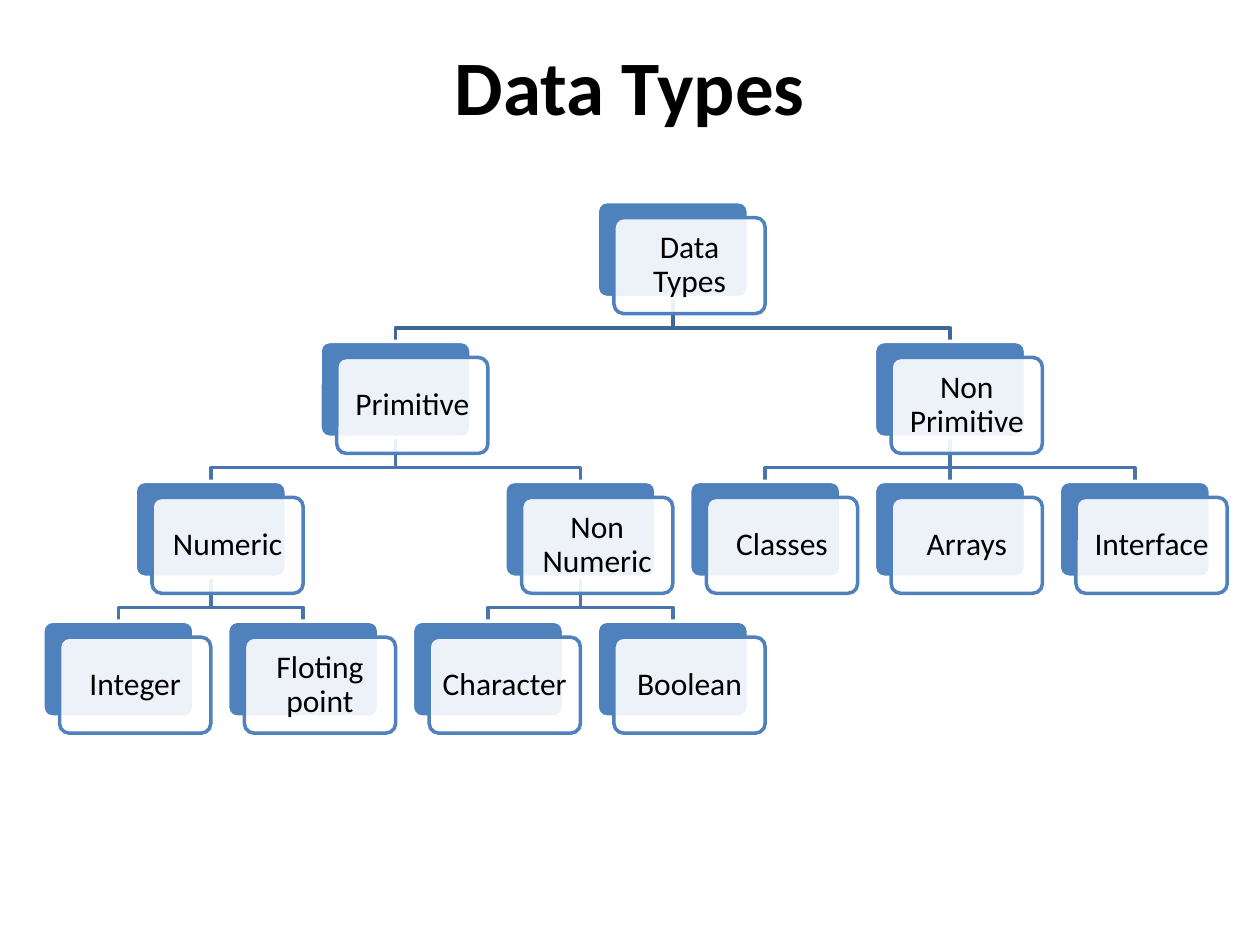
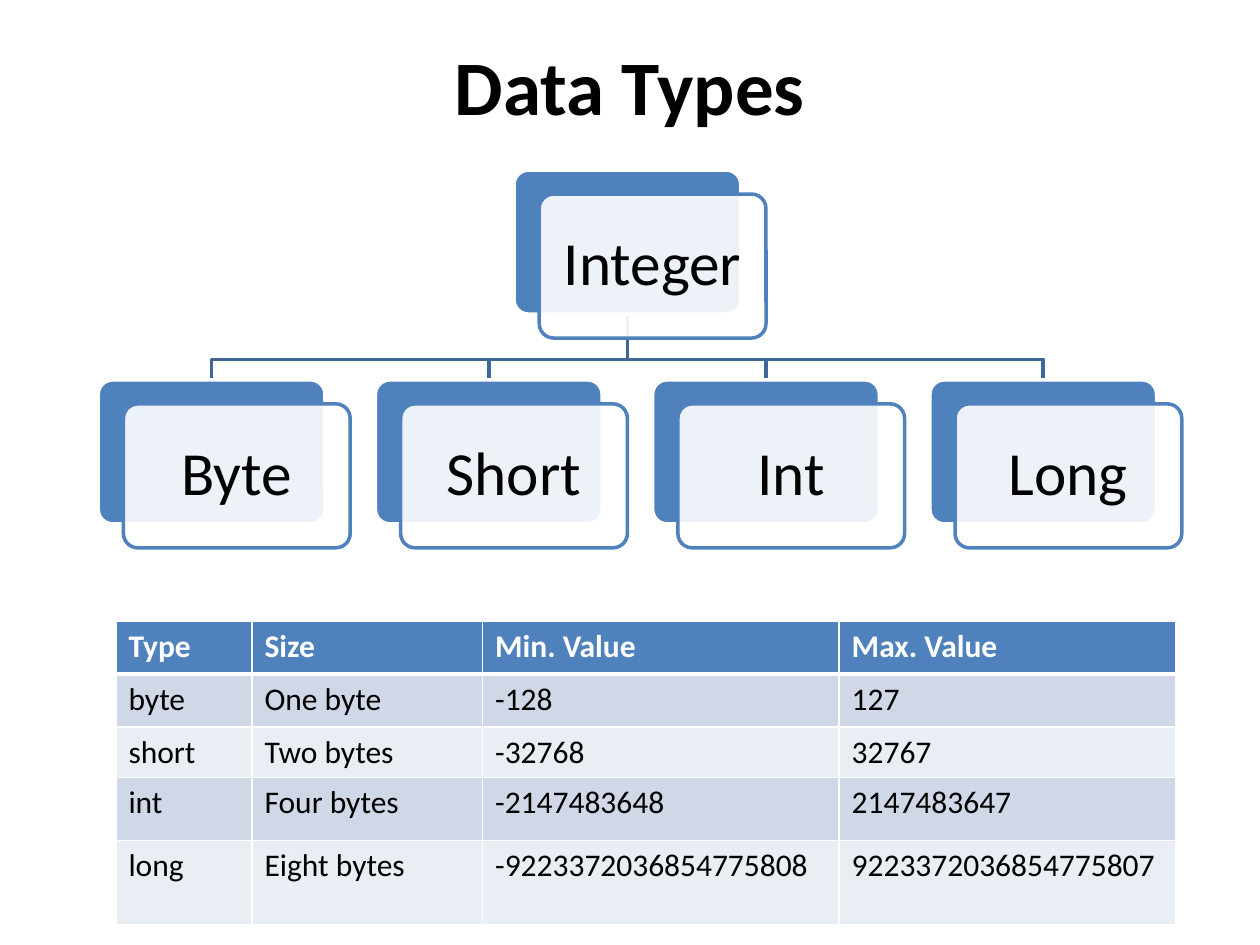
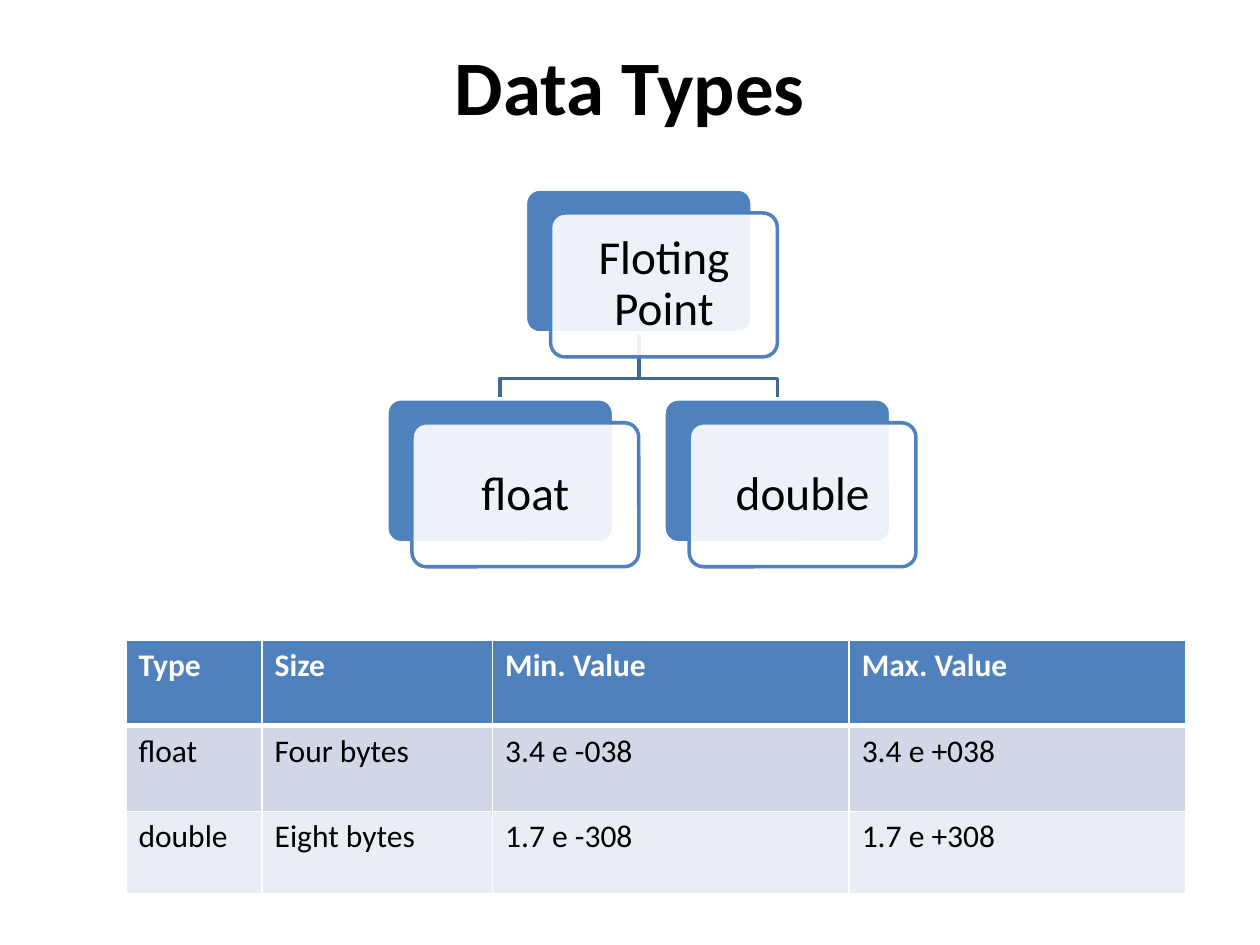
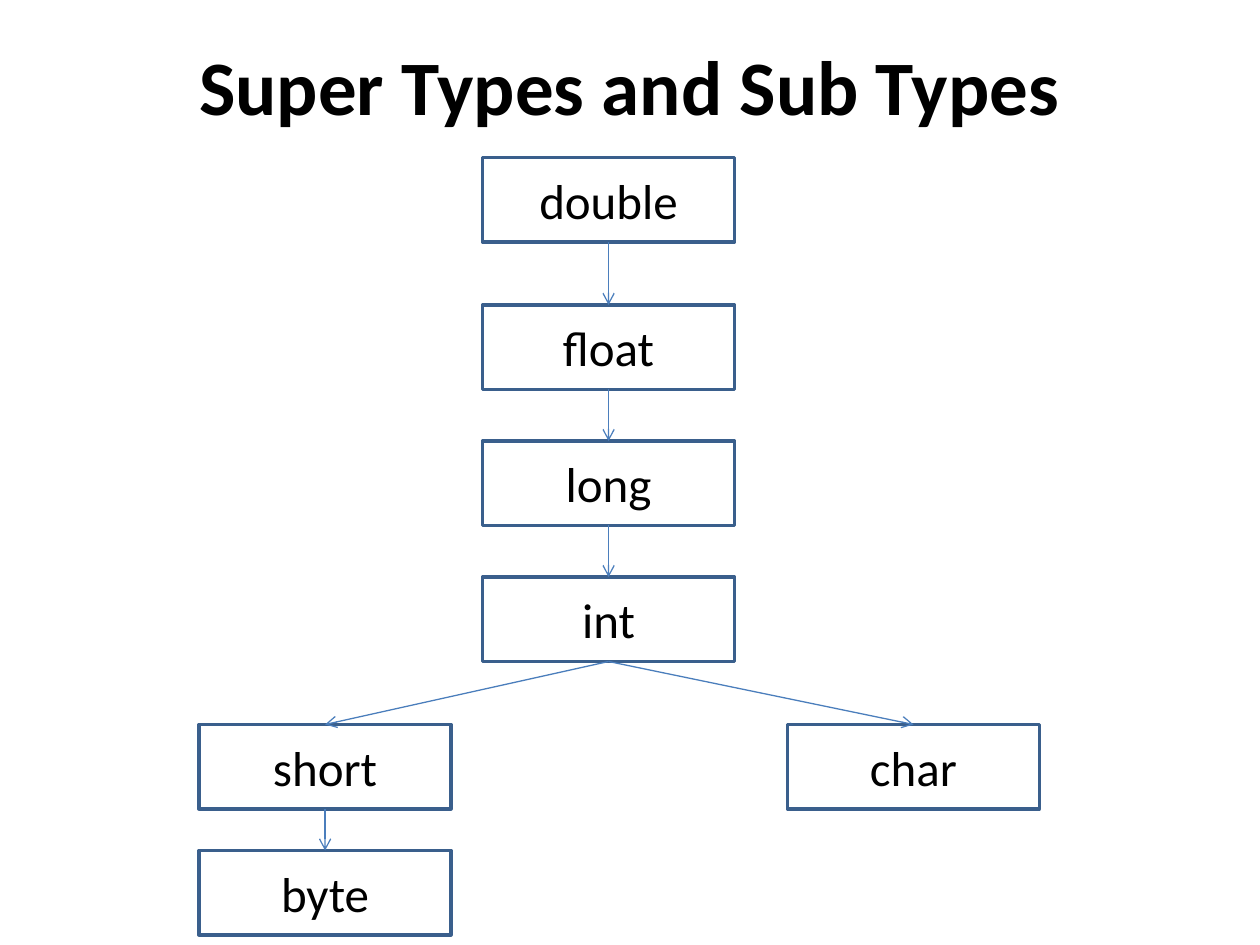
import pptx
import pptx.util
import pptx.dml.color
import pptx.enum.shapes
import pptx.enum.text
import pptx.oxml.ns
import lxml.etree
from dataclasses import dataclass

Inches = pptx.util.Inches
SHAPE = pptx.enum.shapes.MSO_SHAPE
ALIGN = pptx.enum.text.PP_ALIGN
ANCHOR = pptx.enum.text.MSO_ANCHOR


@dataclass(frozen=True)
class Theme:
    font: str = "Calibri"
    ink: str = "000000"
    white: str = "FFFFFF"
    blue: str = "4F81BD"
    trunk: str = "3F6797"
    branch: str = "4875AC"
    frame: str = "3A5F8C"
    arrow: str = "4B7EBC"
    bands: tuple = ("D0D8E8", "E9EDF4")
    title: int = 44
    body: int = 18
    box: int = 28
    rule: int = 2


THEME = Theme()

# Content: a tree node is (text, gap between children in pitches, children)
KINDS = ("Data Types", 3, [
    ("Primitive", 2, [
        ("Numeric", 1, [("Integer", 1, []), ("Floting point", 1, [])]),
        ("Non Numeric", 1, [("Character", 1, []), ("Boolean", 1, [])]),
    ]),
    ("Non Primitive", 1, [
        ("Classes", 1, []), ("Arrays", 1, []), ("Interface", 1, []),
    ]),
])
WHOLE = ("Integer", 1, [(name, 1, []) for name in ("Byte", "Short", "Int", "Long")])
REAL = ("Floting Point", 1, [(name, 1, []) for name in ("float", "double")])

HEAD = ("Type", "Size", "Min. Value", "Max. Value")
WHOLE_ROWS = [
    HEAD,
    ("byte", "One byte", "-128", "127"),
    ("short", "Two bytes", "-32768", "32767"),
    ("int", "Four bytes", "-2147483648", "2147483647"),
    ("long", "Eight bytes", "-9223372036854775808", "9223372036854775807"),
]
REAL_ROWS = [
    HEAD,
    ("float", "Four bytes", "3.4 e -038", "3.4 e +038"),
    ("double", "Eight bytes", "1.7 e -308", "1.7 e +308"),
]
COLS = (1.08, 1.83, 2.83, 2.67)

# Tree slides: title, tree, centre and top of root card, card width, text size,
# and the table below as (rows, left, top, row heights)
TREES = [
    ("Data Types", KINDS, 5.34, 1.6, 1.2, 18, None),
    ("Data Types", WHOLE, 4.98, 1.35, 1.8, 35,
     (WHOLE_ROWS, 0.92, 4.93, (0.42, 0.42, 0.33, 0.5, 0.67))),
    ("Data Types", REAL, 5.07, 1.5, 1.8, 27,
     (REAL_ROWS, 1, 5.08, (0.68, 0.68, 0.65))),
]

# Chain slide: left and top of each box, then which box leads to which
BOXES = {
    "double": (3.83, 1.25), "float": (3.83, 2.42), "long": (3.83, 3.5),
    "int": (3.83, 4.58), "short": (1.58, 5.75), "char": (6.25, 5.75),
    "byte": (1.58, 6.75),
}
LINKS = [("double", "float"), ("float", "long"), ("long", "int"),
         ("int", "short"), ("int", "char"), ("short", "byte")]
BOX = (2, 0.67)


# Shared helpers
def rgb(code):
    return pptx.dml.color.RGBColor.from_string(code)


def add_xml(parent, tag, **attrs):
    return lxml.etree.SubElement(parent, pptx.oxml.ns.qn(tag), attrs)


def write(frame, text, size=THEME.body, color=THEME.ink, bold=False,
          align=None, anchor=None, inset=None, space=None):
    if anchor is not None:
        frame.word_wrap = True
        frame.vertical_anchor = anchor
    if inset is not None:
        frame.margin_left = frame.margin_right = inset
        frame.margin_top = frame.margin_bottom = inset
    para = frame.paragraphs[0]
    para.alignment = align
    para.line_spacing = space
    run = para.add_run()
    run.text = text
    run.font.name = THEME.font
    run.font.size = pptx.util.Pt(size)
    run.font.bold = bold
    run.font.color.rgb = rgb(color)


def paint(shape, fill=None, line=THEME.blue, width=THEME.rule):
    shape.shadow.inherit = False
    if fill:
        shape.fill.solid()
        shape.fill.fore_color.rgb = rgb(fill)
    else:
        shape.fill.background()
    shape.line.color.rgb = rgb(line)
    shape.line.width = pptx.util.Pt(width)


def add_slide(deck, title):
    slide = deck.slides.add_slide(deck.slide_layouts[6])
    area = slide.shapes.add_textbox(0, Inches(0.17), Inches(10), Inches(1))
    write(area.text_frame, title, size=THEME.title, bold=True,
          align=ALIGN.CENTER, anchor=ANCHOR.MIDDLE)
    return slide


# Tree of stacked cards
def place(node, mid, top, wide, level=0):
    """List (text, mid, top, level, parent mid) for a node and all below it."""
    text, gap, kids = node
    spots = [(text, mid, top, level, None)]
    for i, kid in enumerate(kids):
        shift = (i - (len(kids) - 1) / 2) * gap * wide * 11 / 9
        below = place(kid, mid + shift, top + wide * 0.925, wide, level + 1)
        spots.append(below[0][:4] + (mid,))
        spots += below[1:]
    return spots


def add_branch(slide, start, end, bend, color):
    points = [start, (start[0], bend), (end[0], bend), end]
    points = [(Inches(x), Inches(y)) for x, y in points]
    form = slide.shapes.build_freeform(*points[0])
    form.add_line_segments(points[1:], close=False)
    paint(form.convert_to_shape(), line=color)


def add_card(slide, text, left, top, wide, size):
    high = wide * 0.635
    for step, fill, line in ((0, THEME.blue, THEME.white),
                             (wide / 9, THEME.white, THEME.blue)):
        card = slide.shapes.add_shape(
            SHAPE.ROUNDED_RECTANGLE, Inches(left + step),
            Inches(top + step * 0.95), Inches(wide), Inches(high))
        card.adjustments[0] = 0.1
        paint(card, fill=fill, line=line)
    # The front card is slightly clear and carries the text
    tint = card.fill._xPr.find(".//" + pptx.oxml.ns.qn("a:srgbClr"))
    add_xml(tint, "a:alpha", val="90000")
    write(card.text_frame, text, size=size, align=ALIGN.CENTER,
          anchor=ANCHOR.MIDDLE, inset=pptx.util.Pt(size * 0.3), space=0.9)


def add_tree(slide, root, mid, top, wide, size):
    spots = place(root, mid, top, wide)
    for _, x, y, level, above in spots:
        if above is not None:
            start = (above, y - wide * 0.29)
            color = THEME.trunk if level == 1 else THEME.branch
            add_branch(slide, start, (x, y), y - wide * 0.09, color)
    for text, x, y, _, _ in spots:
        add_card(slide, text, x - wide / 2, y, wide, size)


# Table of types
def add_border(cell, side, width):
    line = add_xml(cell._tc.get_or_add_tcPr(), "a:ln" + side,
                   w=str(pptx.util.Pt(width)))
    add_xml(add_xml(line, "a:solidFill"), "a:srgbClr", val=THEME.white)


def add_grid(slide, rows, left, top, heights):
    grid = slide.shapes.add_table(
        len(rows), len(COLS), Inches(left), Inches(top),
        Inches(sum(COLS)), Inches(sum(heights))).table
    for col, wide in zip(grid.columns, COLS):
        col.width = Inches(wide)
    for r, (row, high) in enumerate(zip(rows, heights)):
        grid.rows[r].height = Inches(high)
        head = r == 0
        for c, text in enumerate(row):
            cell = grid.cell(r, c)
            for side in "LRTB":
                thick = (r, side) in ((0, "B"), (1, "T"))
                add_border(cell, side, 3 if thick else 1)
            cell.fill.solid()
            cell.fill.fore_color.rgb = rgb(
                THEME.blue if head else THEME.bands[(r - 1) % 2])
            write(cell.text_frame, text, bold=head,
                  color=THEME.white if head else THEME.ink)


# Chain of boxes
def add_arrow(slide, start, end):
    line = slide.shapes.add_connector(
        pptx.enum.shapes.MSO_CONNECTOR.STRAIGHT, 0, 0, 0, 0)
    line.begin_connect(start, 2)
    line.end_connect(end, 0)
    line.line.color.rgb = rgb(THEME.arrow)
    line.line.width = pptx.util.Pt(0.75)
    add_xml(line.line._get_or_add_ln(), "a:tailEnd", type="arrow")
    add_xml(line._element.spPr, "a:effectLst")


def add_chain(slide):
    made = {}
    for name, (left, top) in BOXES.items():
        box = slide.shapes.add_shape(
            SHAPE.RECTANGLE, Inches(left), Inches(top), *map(Inches, BOX))
        paint(box, line=THEME.frame)
        write(box.text_frame, name, size=THEME.box,
              align=ALIGN.CENTER, anchor=ANCHOR.MIDDLE)
        made[name] = box
    for start, end in LINKS:
        add_arrow(slide, made[start], made[end])


def main():
    deck = pptx.Presentation()
    deck.slide_width, deck.slide_height = Inches(10), Inches(7.5)
    for title, root, mid, top, wide, size, table in TREES:
        slide = add_slide(deck, title)
        add_tree(slide, root, mid, top, wide, size)
        if table:
            add_grid(slide, *table)
    add_chain(add_slide(deck, "Super Types and Sub Types"))
    deck.save("out.pptx")


if __name__ == "__main__":
    main()
